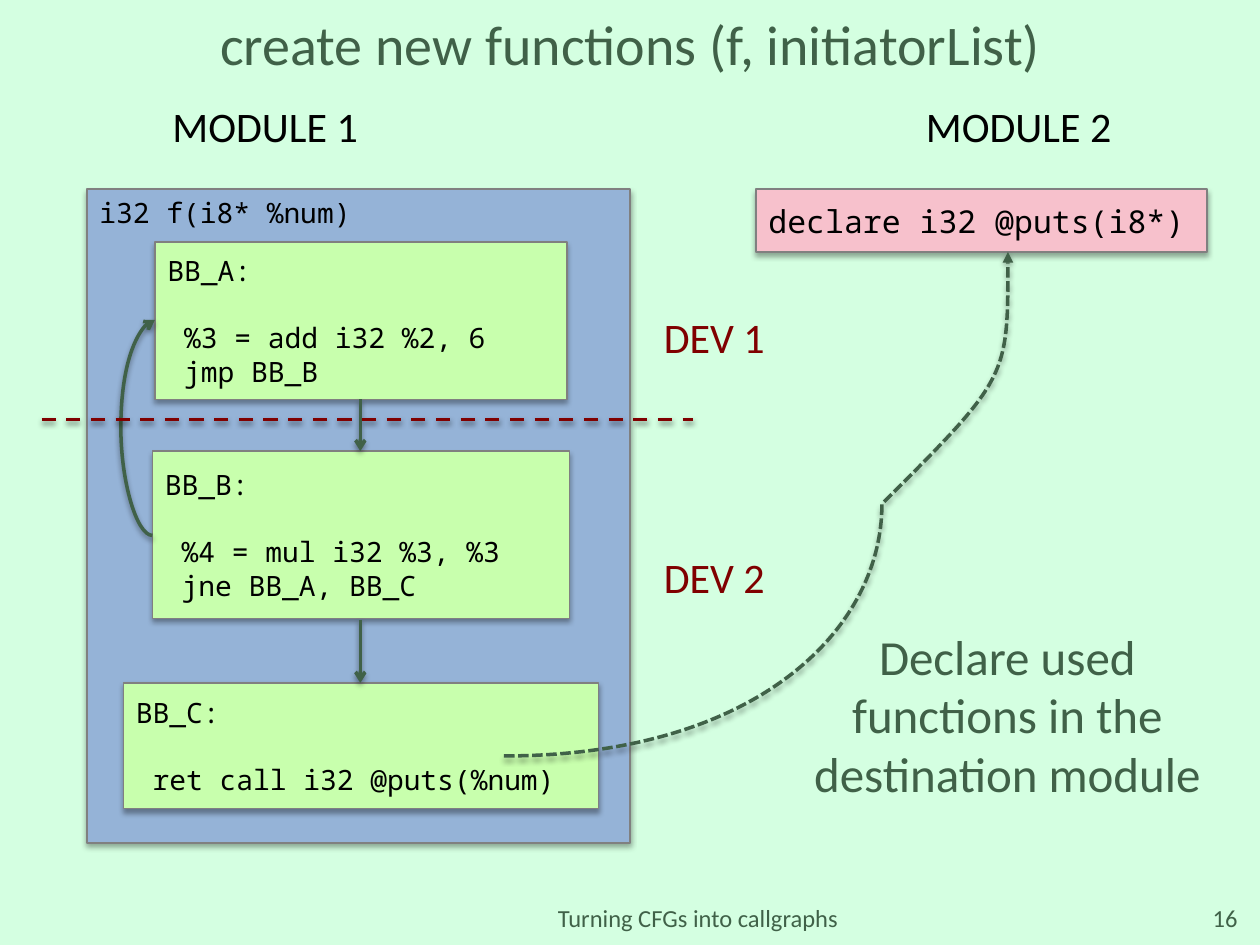
import pptx
import pptx.dml.color
import pptx.enum.dml
import pptx.enum.shapes
import pptx.enum.text
import pptx.oxml
import pptx.oxml.ns
import pptx.util

Inches = pptx.util.Inches
Pt = pptx.util.Pt
ALIGN = pptx.enum.text.PP_ALIGN
ANCHOR = pptx.enum.text.MSO_ANCHOR
DASH = pptx.enum.dml.MSO_LINE
CONNECTOR = pptx.enum.shapes.MSO_CONNECTOR

COLORS = {
    "page": "D4FFE1", "function": "95B3D7", "block": "C8FFAD",
    "declaration": "F7C1CC", "border": "808080", "shadow": "000000",
    "text": "000000", "green": "406148", "device": "800000",
}
SANS = "Calibri"
MONO = "Noto Sans Mono"
BLANK_CODE_LINE = Pt(19)


def rgb(name):
    return pptx.dml.color.RGBColor.from_string(COLORS[name])


def add_shadow(shape, alpha):
    """Append a soft downward shadow; call after fill and line are set."""
    shape._element.spPr.append(pptx.oxml.parse_xml(
        f'<a:effectLst {pptx.oxml.ns.nsdecls("a")}>'
        f'<a:outerShdw blurRad="{Pt(3.1)}" dist="{Pt(1.8)}" dir="5400000" rotWithShape="0">'
        f'<a:srgbClr val="{COLORS["shadow"]}"><a:alpha val="{alpha * 1000}"/></a:srgbClr>'
        '</a:outerShdw></a:effectLst>'))


def write_lines(frame, lines, size, font=SANS, color="text", align=ALIGN.LEFT):
    for index, line in enumerate(lines):
        para = frame.paragraphs[0] if index == 0 else frame.add_paragraph()
        para.alignment = align
        span = para.add_run()
        span.text = line
        span.font.size = Pt(size)
        span.font.name = font
        span.font.color.rgb = rgb(color)


def add_label(page, place, text, size, anchor=ANCHOR.TOP, wrap=True, **style):
    box = page.shapes.add_textbox(*map(Inches, place))
    box.text_frame.word_wrap = wrap
    box.text_frame.vertical_anchor = anchor
    write_lines(box.text_frame, [text], size, **style)


def add_panel(page, place, fill, lines=(), size=16):
    """Add a bordered rectangle, with code lines if any are given."""
    panel = page.shapes.add_shape(
        pptx.enum.shapes.MSO_SHAPE.RECTANGLE, *map(Inches, place))
    panel.fill.solid()
    panel.fill.fore_color.rgb = rgb(fill)
    panel.line.color.rgb = rgb("border")
    panel.line.width = Pt(0.75)
    add_shadow(panel, 35)
    panel.text_frame.word_wrap = True
    panel.text_frame.vertical_anchor = ANCHOR.MIDDLE
    write_lines(panel.text_frame, lines, size, MONO)
    return panel


def add_block(page, place, name, instructions):
    """Add a basic block: its name, a gap, then its instructions."""
    block = add_panel(page, place, "block", [name + ":", *instructions])
    block.text_frame.paragraphs[0].space_after = BLANK_CODE_LINE


def style_line(shape, color="green", dash=None, head=None):
    shape.line.color.rgb = rgb(color)
    shape.line.width = Pt(2)
    if dash:
        shape.line.dash_style = dash
    if head:
        shape.line._get_or_add_ln().append(pptx.oxml.parse_xml(
            f'<a:tailEnd {pptx.oxml.ns.nsdecls("a")} type="{head}"/>'))
    add_shadow(shape, 38)


def add_line(page, start, end, kind=CONNECTOR.STRAIGHT, **style):
    line = page.shapes.add_connector(kind, *map(Inches, (*start, *end)))
    style_line(line, **style)
    return line


def add_loop_arrow(page, start, end, bulge):
    """Add a curved connector that swings out to the left by bulge inches."""
    loop = add_line(page, start, end, CONNECTOR.CURVE, head="arrow")
    ratio = round(-bulge / (end[0] - start[0]) * 100000)
    geometry = loop._element.spPr.find(pptx.oxml.ns.qn("a:prstGeom"))
    guides = geometry.get_or_add_avLst()
    guides.append(pptx.oxml.parse_xml(
        f'<a:gd {pptx.oxml.ns.nsdecls("a")} name="adj1" fmla="val {ratio}"/>'))


def add_bezier_arrow(page, start, points):
    """Add a dashed curve; each three points are two controls and an end."""
    builder = page.shapes.build_freeform(*start, scale=Inches(1))
    builder.add_line_segments(points, close=False)
    curve = builder.convert_to_shape()
    segments = list(curve._element.spPr.iter(pptx.oxml.ns.qn("a:lnTo")))
    for first in range(0, len(segments), 3):
        bezier = pptx.oxml.parse_xml(
            f'<a:cubicBezTo {pptx.oxml.ns.nsdecls("a")}/>')
        segments[first].addprevious(bezier)
        for segment in segments[first:first + 3]:
            bezier.append(segment[0])
            segment.getparent().remove(segment)
    curve.fill.background()
    style_line(curve, dash=DASH.SQUARE_DOT, head="triangle")


def add_title(page, text):
    title = page.shapes.title
    title.left, title.top, title.width, title.height = map(
        Inches, (0.17, 0.17, 9.67, 0.35))
    title.text_frame.vertical_anchor = ANCHOR.MIDDLE
    title.text_frame.auto_size = pptx.enum.text.MSO_AUTO_SIZE.NONE
    write_lines(title.text_frame, [text], 32, color="green", align=ALIGN.CENTER)


def main():
    deck = pptx.Presentation()
    deck.slide_width, deck.slide_height = Inches(10), Inches(7.5)
    page = deck.slides.add_slide(deck.slide_layouts[5])
    page.background.fill.solid()
    page.background.fill.fore_color.rgb = rgb("page")
    add_title(page, "create new functions (f, initiatorList)")

    add_panel(page, (0.69, 1.5, 4.31, 5.19), "function")
    add_label(page, (0.69, 1.5, 2.73, 0.37), "i32 f(i8* %num)", 16, font=MONO)
    add_block(page, (1.23, 1.92, 3.27, 1.25), "BB_A",
              [" %3 = add i32 %2, 6", " jmp BB_B"])
    add_block(page, (1.21, 3.58, 3.31, 1.33), "BB_B",
              [" %4 = mul i32 %3, %3", " jne BB_A, BB_C"])
    add_block(page, (0.98, 5.42, 3.77, 1), "BB_C",
              [" ret call i32 @puts(%num)"])

    for top, bottom in ((3.17, 3.58), (4.92, 5.42)):
        add_line(page, (2.86, top), (2.86, bottom), head="arrow")
    add_loop_arrow(page, (1.21, 4.25), (1.23, 2.54), 0.25)
    add_line(page, (0.33, 3.33), (5.5, 3.33), color="device", dash=DASH.DASH)

    for text, top in (("DEV 1", 2.42), ("DEV 2", 4.33)):
        add_label(page, (5.17, top, 1.01, 0.5), text, 24, wrap=False,
                  color="device")
    for text, left in (("MODULE 1", 1.27), ("MODULE 2", 7.25)):
        add_label(page, (left, 0.75, 1.69, 0.5), text, 24, wrap=False)

    add_panel(page, (6, 1.5, 3.58, 0.5), "declaration",
              ["declare i32 @puts(i8*)"], 18)
    add_label(page, (6.33, 4.92, 3.33, 1.51),
              "Declare used functions in the destination module", 28,
              color="green", align=ALIGN.CENTER)
    add_bezier_arrow(page, (4.5, 6.2), [
        (5.62, 5.5), (6.74, 4.8), (7.35, 4.11),
        (7.96, 3.42), (8.06, 2.74), (8.17, 2.06)])

    add_label(page, (2, 7.08, 7.08, 0.4), "Turning CFGs into callgraphs", 14,
              ANCHOR.MIDDLE, color="green", align=ALIGN.CENTER)
    add_label(page, (9.17, 7.08, 0.75, 0.4), "16", 14,
              ANCHOR.MIDDLE, color="green", align=ALIGN.RIGHT)
    deck.save("out.pptx")


if __name__ == "__main__":
    main()
